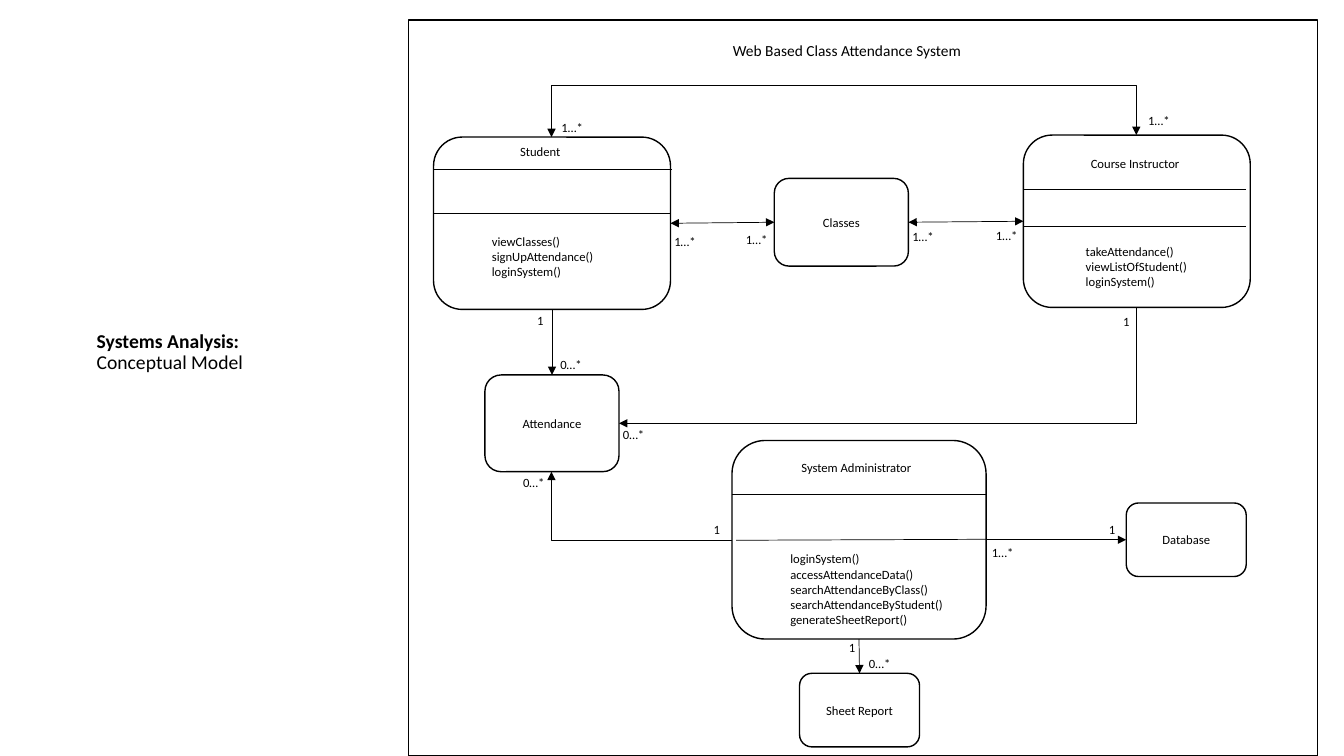
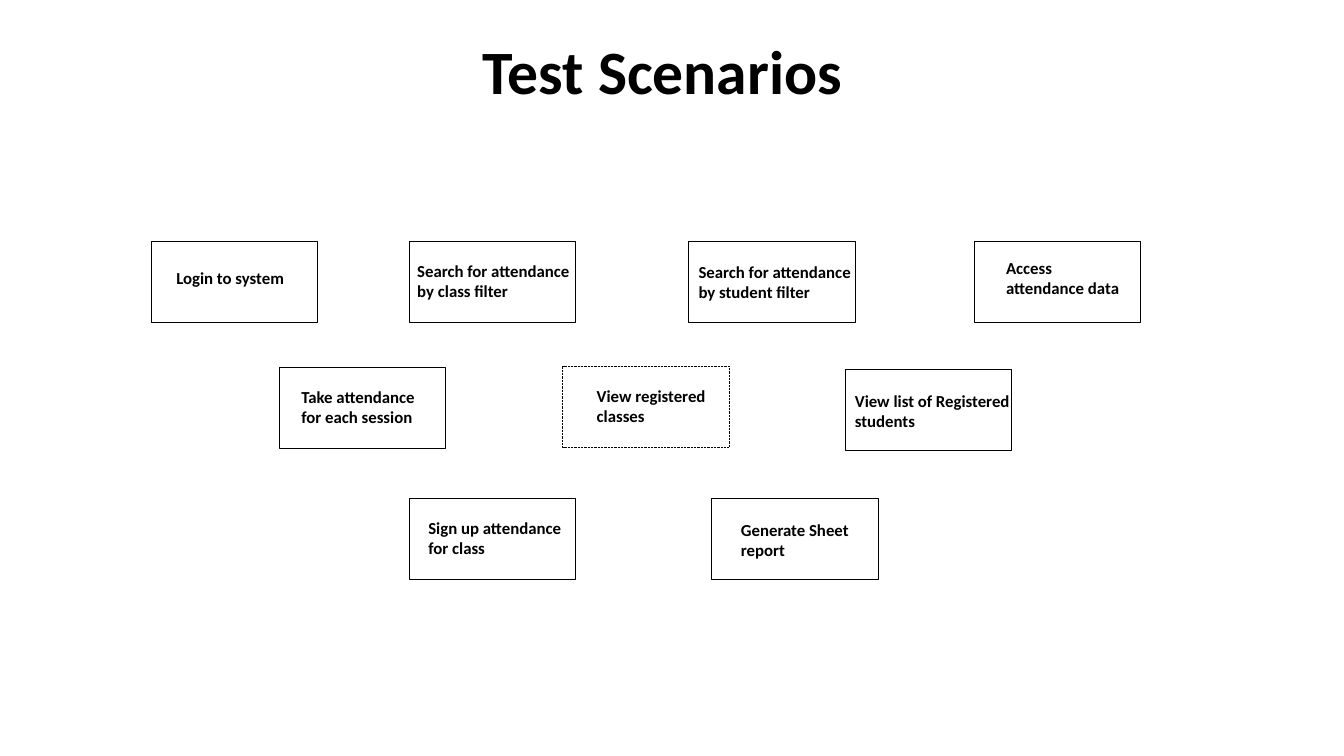
from dataclasses import dataclass
from typing import NamedTuple

from lxml.etree import SubElement as Sub
from pptx import Presentation
from pptx.dml.color import RGBColor as Rgb
from pptx.enum.dml import MSO_LINE as Dash
from pptx.enum.shapes import MSO_CONNECTOR as Wire, MSO_SHAPE as Form
from pptx.enum.text import MSO_ANCHOR as Anchor, PP_ALIGN as Align
from pptx.oxml.ns import qn
from pptx.shapes.autoshape import Shape
from pptx.shapes.connector import Connector
from pptx.slide import Slide
from pptx.util import Inches, Pt


@dataclass(frozen=True)
class Theme:
    font: str = "Calibri"
    ink: Rgb = Rgb(0, 0, 0)
    title: float = 44
    head: float = 14
    body: float = 12
    name: float = 11
    small: float = 9
    thick: float = 1
    thin: float = 0.5
    tight: float = 0.9


class Box(NamedTuple):
    x: float
    y: float
    w: float
    h: float


class Node(NamedTuple):
    box: Box
    text: str = ""


class Link(NamedTuple):
    start: str
    side: int
    end: str
    into: int
    both: bool = False


class Rule(NamedTuple):
    x: float
    y: float
    to: float
    drop: float = 0


class Case(NamedTuple):
    text: str
    x: float
    y: float
    left: float
    top: float
    wide: float
    dots: bool = False


THEME = Theme()
TOP, LEFT, LOW, RIGHT = range(4)

NODES = {
    "data": Node(Box(11.17, 4.99, 1.19, 0.73), "Database"),
    "mark": Node(Box(4.81, 3.72, 1.33, 0.96), "Attendance"),
    "sheet": Node(Box(7.93, 6.68, 1.19, 0.73), "Sheet Report"),
    "class": Node(Box(7.68, 1.77, 1.33, 0.87), "Classes"),
    "admin": Node(Box(7.26, 4.37, 2.52, 1.97)),
    "pupil": Node(Box(4.3, 1.36, 2.35, 1.71)),
    "tutor": Node(Box(10.15, 1.34, 2.25, 1.71)),
}

LINKS = [
    Link("pupil", RIGHT, "class", LEFT, True),
    Link("class", RIGHT, "tutor", LEFT, True),
    Link("pupil", LOW, "mark", TOP),
    Link("admin", RIGHT, "data", LEFT),
    Link("admin", LOW, "sheet", TOP),
]

RULES = [
    Rule(4.3, 1.68, 6.67),
    Rule(4.3, 2.12, 6.65),
    Rule(10.15, 1.88, 12.36),
    Rule(10.15, 2.25, 12.36),
    Rule(7.26, 4.9, 9.78),
    Rule(7.3, 5.36, 9.78, -0.01),
]

NOTES = [
    Node(Box(5.06, 1.38, 0.61, 0.26), "Student"),
    Node(Box(10.72, 1.5, 1.11, 0.25), "Course Instructor"),
    Node(Box(7.85, 4.51, 1.34, 0.25), "System Administrator"),
    Node(Box(4.78, 2.27, 1.25, 0.56),
         "viewClasses()\nsignUpAttendance()\nloginSystem()"),
    Node(Box(10.67, 2.37, 1.42, 0.56),
         "takeAttendance()\nviewListOfStudent()\nloginSystem()"),
    Node(Box(7.74, 5.42, 1.79, 0.86),
         "loginSystem()\naccessAttendanceData()\nsearchAttendanceByClass()\n"
         "searchAttendanceByStudent()\ngenerateSheetReport()"),
]

COUNTS = {
    "1…*": [(5.47, 1.14), (11.29, 1.07), (6.59, 2.27), (8.95, 2.22),
            (7.3, 2.25), (9.78, 2.21), (9.74, 5.36)],
    "1": [(11.04, 3.06), (5.23, 3.05), (6.98, 5.13), (10.9, 5.13),
          (8.32, 6.3)],
    "0…*": [(8.52, 6.46), (6.08, 4.19), (5.46, 3.49), (5.09, 4.66)],
}

CASES = [
    Case("Login to system", 1.5, 2.39, 1.65, 2.61, 1.39),
    Case("Search for attendance by class filter",
         4.06, 2.39, 4.04, 2.54, 1.76),
    Case("Search for attendance by student filter",
         6.83, 2.39, 6.83, 2.55, 1.73),
    Case("Access attendance data", 9.66, 2.39, 9.88, 2.51, 1.43),
    Case("Take attendance for each session", 2.77, 3.64, 2.89, 3.79, 1.42),
    Case("View registered classes", 5.58, 3.63, 5.82, 3.78, 1.4, True),
    Case("View list of Registered students", 8.38, 3.66, 8.38, 3.83, 1.79),
    Case("Sign up attendance for class", 4.06, 4.94, 4.15, 5.09, 1.54),
    Case("Generate Sheet report", 7.06, 4.94, 7.25, 5.11, 1.35),
]


def write(shape: Shape, text: str, *, size: float = THEME.small,
          bold: bool = False, lead: str = "", align: Align = Align.LEFT,
          anchor: Anchor = Anchor.TOP, space: float = 1) -> None:
    frame = shape.text_frame
    frame.word_wrap = True
    frame.vertical_anchor = anchor
    for i, line in enumerate(text.split("\n")):
        para = frame.add_paragraph() if i else frame.paragraphs[0]
        para.alignment = align
        para.line_spacing = space
        parts = [(lead, True), (line, bold)] if lead else [(line, bold)]
        for j, (word, heavy) in enumerate(parts):
            if j:
                para.add_line_break()
            run = para.add_run()
            run.text = word
            run.font.name = THEME.font
            run.font.size = Pt(size)
            run.font.bold = heavy
            run.font.color.rgb = THEME.ink


def label(slide: Slide, box: Box, text: str, **style) -> None:
    write(slide.shapes.add_textbox(*map(Inches, box)), text, **style)


def title(slide: Slide, box: Box, text: str, **style) -> None:
    label(slide, box, text, anchor=Anchor.MIDDLE, space=THEME.tight, **style)


def shape(slide: Slide, form: Form, box: Box, width: float) -> Shape:
    item = slide.shapes.add_shape(form, *map(Inches, box))
    item.shadow.inherit = False
    item.fill.background()
    item.line.color.rgb = THEME.ink
    item.line.width = Pt(width)
    return item


def wire(slide: Slide, kind: Wire, ends: Box,
         head: bool = False, tail: bool = False) -> Connector:
    item = slide.shapes.add_connector(kind, *map(Inches, ends))
    item.line.color.rgb = THEME.ink
    item.line.width = Pt(THEME.thin)
    line = item.line._get_or_add_ln()
    for tag, shown in (("a:headEnd", head), ("a:tailEnd", tail)):
        if shown:
            Sub(line, qn(tag), type="triangle")
    Sub(item._element.spPr, qn("a:effectLst"))
    return item


def corner(slide: Slide, ends: Box, **arrows: bool) -> None:
    item = wire(slide, Wire.ELBOW, ends, **arrows)
    item._element.spPr.find(qn("a:prstGeom")).set("prst", "bentConnector2")


def bridge(slide: Slide, ends: Box, rise: float) -> None:
    x, y, to, low = ends
    mid, half = (x + to) / 2, (to - x) / 2
    level, lean = (y + low) / 2, (y - low) / 2
    turned = Box(mid + lean, level + half, mid - lean, level - half)
    item = wire(slide, Wire.ELBOW, turned, head=True, tail=True)
    props = item._element.spPr
    props.find(qn("a:xfrm")).set("rot", "5400000")
    geom = props.find(qn("a:prstGeom"))
    guides = geom.find(qn("a:avLst"))
    if guides is None:
        guides = Sub(geom, qn("a:avLst"))
    ratio = round(rise / (y - low) * 100000)
    Sub(guides, qn("a:gd"), name="adj1", fmla=f"val {ratio}")


def model(slide: Slide) -> None:
    title(slide, Box(0.86, 3.25, 2.45, 0.49), "Conceptual Model",
          lead="Systems Analysis:", size=THEME.head)
    shape(slide, Form.RECTANGLE, Box(4.05, 0.2, 9.02, 7.3), THEME.thick)
    label(slide, Box(7.17, 0.36, 2.63, 0.29),
          "Web Based Class Attendance System", size=THEME.name)
    made = {}
    for key, node in NODES.items():
        made[key] = shape(slide, Form.FLOWCHART_ALTERNATE_PROCESS,
                          node.box, THEME.thick)
        if node.text:
            write(made[key], node.text, align=Align.CENTER,
                  anchor=Anchor.MIDDLE)
    for link in LINKS:
        item = wire(slide, Wire.STRAIGHT, Box(0, 0, 1, 1), link.both, True)
        item.begin_connect(made[link.start], link.side)
        item.end_connect(made[link.end], link.into)
    corner(slide, Box(6.14, 4.2, 11.27, 3.05), head=True)
    corner(slide, Box(7.26, 5.36, 5.47, 4.68), tail=True)
    bridge(slide, Box(5.47, 1.36, 11.27, 1.34), 0.51)
    for x, y, to, drop in RULES:
        wire(slide, Wire.STRAIGHT, Box(x, y, to, y + drop))
    for note in NOTES:
        label(slide, note.box, note.text)
    for text, spots in COUNTS.items():
        for x, y in spots:
            label(slide, Box(x, y, 0.47, 0.25), text)


def tests(slide: Slide) -> None:
    title(slide, Box(4.69, 0.33, 3.99, 0.82), "Test Scenarios",
          size=THEME.title, bold=True)
    for case in CASES:
        item = shape(slide, Form.RECTANGLE,
                     Box(case.x, case.y, 1.65, 0.81), THEME.thin)
        if case.dots:
            item.line.dash_style = Dash.ROUND_DOT
        label(slide, Box(case.left, case.top, case.wide, 0.5), case.text,
              size=THEME.body, bold=True)


def main() -> None:
    deck = Presentation()
    deck.slide_width, deck.slide_height = Inches(13.33), Inches(7.5)
    for draw in (model, tests):
        draw(deck.slides.add_slide(deck.slide_layouts[6]))
    deck.save("out.pptx")


if __name__ == "__main__":
    main()
